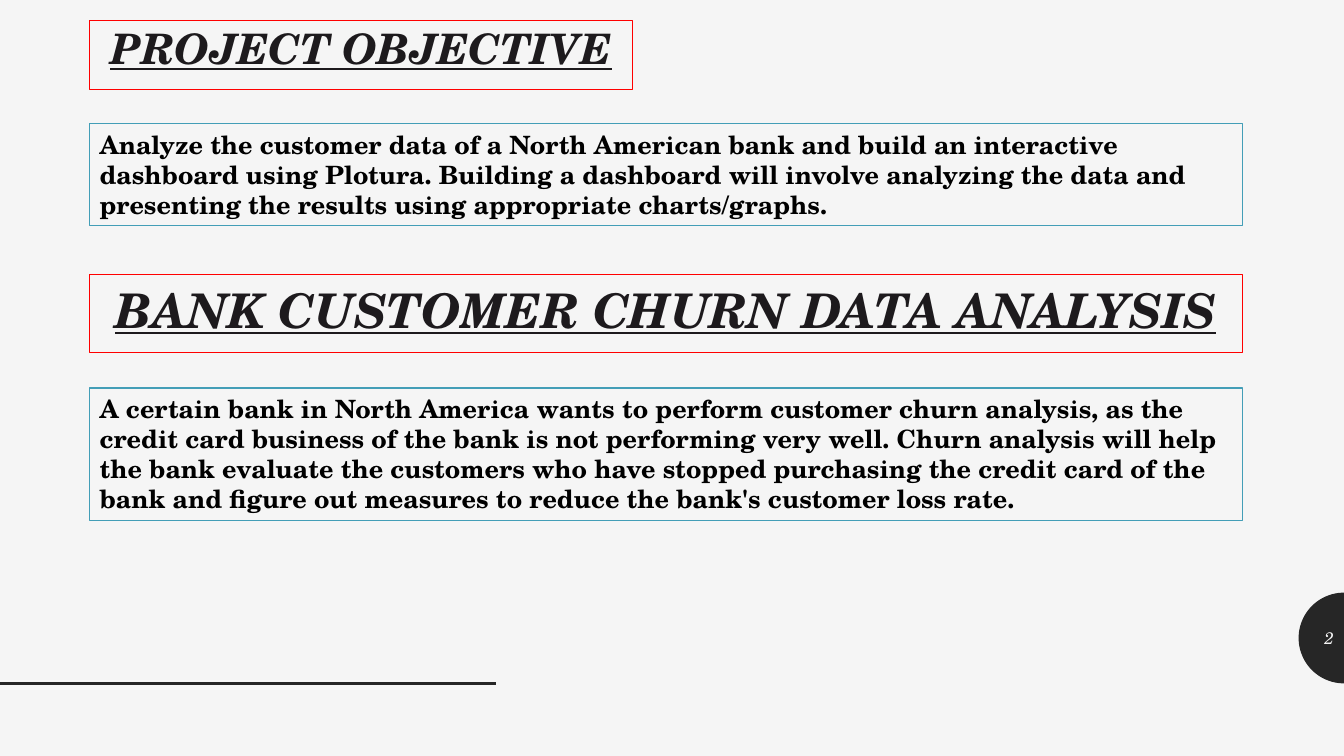
from dataclasses import dataclass
from math import cos, pi, sin

from lxml.etree import SubElement
from pptx import Presentation
from pptx.dml.color import RGBColor as Rgb
from pptx.enum.shapes import MSO_CONNECTOR as Link, MSO_SHAPE as Kind
from pptx.enum.text import MSO_ANCHOR as Anchor, PP_ALIGN as Align
from pptx.oxml.ns import qn
from pptx.util import Inches, Pt

FONT = "TeX Gyre Schola"
HEX = {"page": "F5F5F5", "dark": "262626", "title": "1D1A1D",
       "body": "000000", "red": "FF0000", "teal": "439EB7"}
INK = {name: Rgb.from_string(code) for name, code in HEX.items()}

deck = Presentation()
deck.slide_width, deck.slide_height = Inches(13.33), Inches(7.5)
slide = deck.slides.add_slide(deck.slide_layouts[6])
slide.background.fill.solid()
slide.background.fill.fore_color.rgb = INK["page"]


# Lengths are percentages of the slide's width and height
def col(share: float) -> int:
    return round(deck.slide_width * share / 100)


def row(share: float) -> int:
    return round(deck.slide_height * share / 100)


LEFT, WIDE = 6.68, 85.74
MID, RADIUS = 84.4, 6
BASE = MID + RADIUS


@dataclass
class Box:
    text: str
    top: float
    high: float
    size: float
    left: float = LEFT
    wide: float = WIDE
    ink: str = "body"
    edge: str | None = "teal"
    align: Align = Align.LEFT
    anchor: Anchor = Anchor.TOP
    pitch: float = 1.0
    bold: bool = True
    slant: bool = False
    under: bool = False


def head(text: str, top: float, high: float, size: float,
         pitch: float, wide: float = WIDE) -> Box:
    return Box(text, top, high, size, wide=wide, ink="title", edge="red",
               align=Align.CENTER, anchor=Anchor.MIDDLE, pitch=pitch,
               slant=True, under=True)


def draw(box: Box) -> None:
    shape = slide.shapes.add_shape(Kind.RECTANGLE, col(box.left), row(box.top),
                                   col(box.wide), row(box.high))
    shape.shadow.inherit = False
    shape.fill.background()
    if box.edge:
        shape.line.color.rgb = INK[box.edge]
        shape.line.width = Pt(0.75)
    else:
        shape.line.fill.background()
    frame = shape.text_frame
    frame.word_wrap = True
    frame.vertical_anchor = box.anchor
    para = frame.paragraphs[0]
    para.text = box.text
    para.alignment = box.align
    para.line_spacing = box.pitch
    font = para.font
    font.name, font.size = FONT, Pt(box.size)
    font.bold, font.italic, font.underline = box.bold, box.slant, box.under
    font.color.rgb = INK[box.ink]


# Half disc at the right edge
STEPS = 48
arc = [(col(100) - row(RADIUS * sin(pi * i / STEPS)),
        row(MID - RADIUS * cos(pi * i / STEPS))) for i in range(STEPS + 1)]
path = slide.shapes.build_freeform(*arc[0])
path.add_line_segments(arc[1:], close=True)
disc = path.convert_to_shape()
disc.shadow.inherit = False
disc.fill.solid()
disc.fill.fore_color.rgb = INK["dark"]
disc.line.fill.background()

# Footer rule
rule = slide.shapes.add_connector(Link.STRAIGHT, 0, row(BASE),
                                  col(36.91), row(BASE))
rule.line.color.rgb = INK["dark"]
rule.line.width = Pt(2)
SubElement(rule._element.spPr, qn("a:effectLst"))

# Page number, headings and body text
BOXES = [
    Box("2", 81.73, 5.33, 12, left=96.67, wide=3.33, ink="page", edge=None,
        align=Align.RIGHT, anchor=Anchor.MIDDLE, bold=False, slant=True),
    head("BANK CUSTOMER CHURN DATA ANALYSIS", 36.27, 10.4, 34.1, 0.85),
    head("PROJECT OBJECTIVE", 2.67, 9.2, 30, 0.65, wide=40.36),
    Box("Analyze the customer data of a North American bank and build an "
        "interactive dashboard using Plotura. Building a dashboard will "
        "involve analyzing the data and presenting the results using "
        "appropriate charts/graphs.", 16.4, 13.47, 18),
    Box("A certain bank in North America wants to perform customer churn "
        "analysis, as the credit card business of the bank is not performing "
        "very well. Churn analysis will help the bank evaluate the customers "
        "who have stopped purchasing the credit card of the bank and figure "
        "out measures to reduce the bank's customer loss rate.",
        51.33, 17.47, 18),
]
for box in BOXES:
    draw(box)

deck.save("out.pptx")
